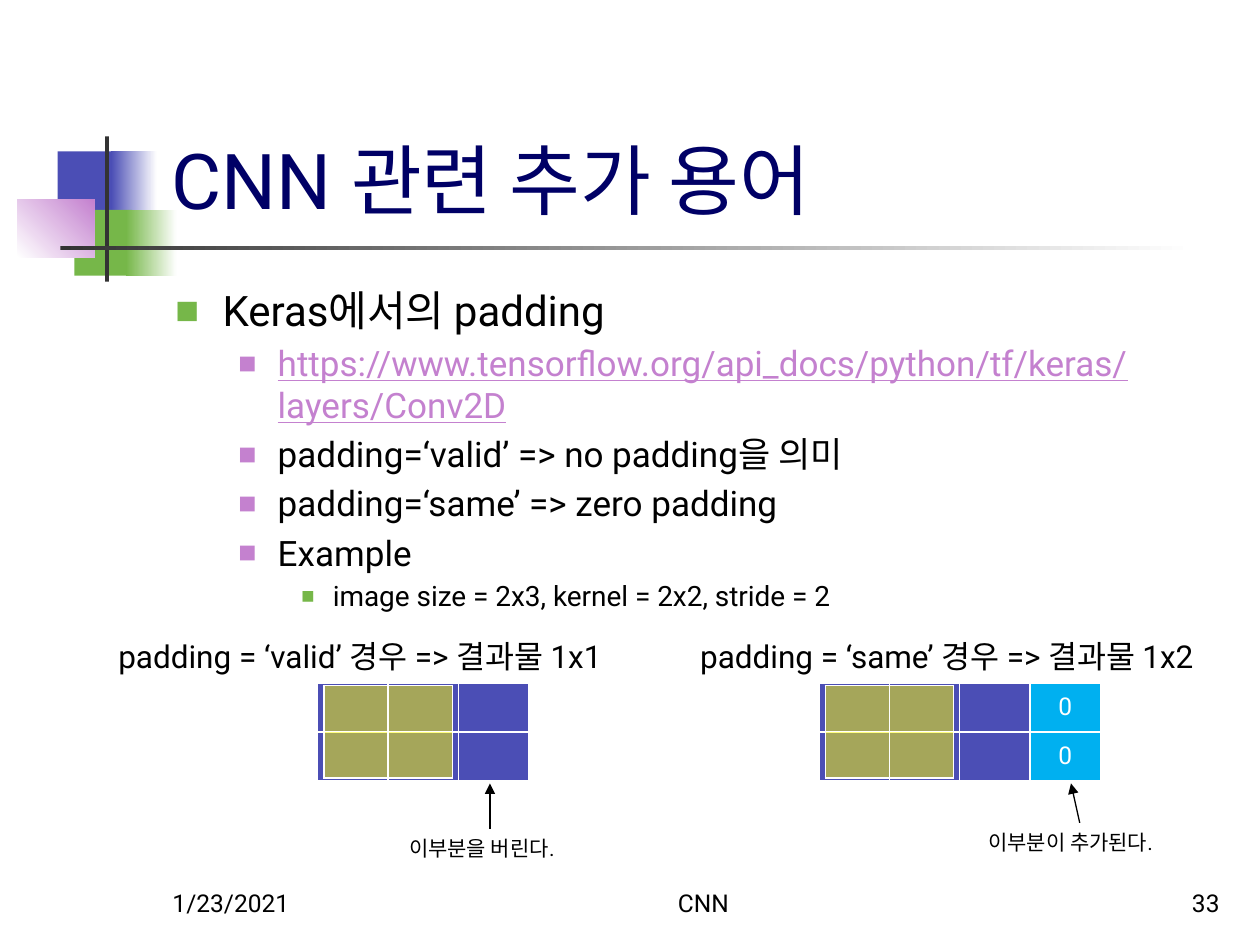
from lxml.etree import SubElement as Sub
from pptx import Presentation
from pptx.dml.color import RGBColor as RGB
from pptx.enum.shapes import MSO_CONNECTOR as Link, MSO_SHAPE as Kind
from pptx.enum.text import MSO_ANCHOR as Anchor, MSO_AUTO_SIZE as Fit, PP_ALIGN as Align
from pptx.oxml import parse_xml
from pptx.oxml.ns import nsdecls, qn
from pptx.util import Pt

FONT = "Roboto"
BLUE = RGB(0x4B, 0x4E, 0xB5)
GREEN = RGB(0x76, 0xB7, 0x49)
PINK = RGB(0xC4, 0x81, 0xCF)
GRAY = RGB(0x33, 0x33, 0x33)
NAVY = RGB(0x00, 0x00, 0x66)
CYAN = RGB(0x00, 0xB0, 0xF0)
YELLOW = RGB(0xFF, 0xFF, 0x00)
WHITE = RGB(0xFF, 0xFF, 0xFF)
BLACK = RGB(0x00, 0x00, 0x00)

LEVELS = [(24, 27, 27, GREEN, 60), (20, 58.5, 22.5, PINK, 55), (16, 90, 18, GREEN, 50)]
URL = "https://www.tensorflow.org/api_docs/python/tf/keras/layers/Conv2D"
ITEMS = [
    (0, "Keras에서의 padding"),
    (1, URL),
    (1, "padding=‘valid’ => no padding을 의미"),
    (1, "padding=‘same’ => zero padding"),
    (1, "Example"),
    (2, "image size = 2x3, kernel = 2x2, stride = 2"),
]


def place(shape, box):
    """Move a shape to a box given in points."""
    shape.left, shape.top, shape.width, shape.height = map(Pt, box)


def style(para, size, color=BLACK, align=Align.LEFT):
    """Set the font and alignment of a paragraph."""
    para.alignment = align
    font = para.font
    font.name, font.size = FONT, Pt(size)
    font.color.rgb = color


def label(slide, box, text, size, align=Align.LEFT, anchor=Anchor.TOP, wrap=False):
    """Add a text box with one line of text."""
    shape = slide.shapes.add_textbox(*map(Pt, box))
    frame = shape.text_frame
    frame.word_wrap, frame.vertical_anchor = wrap, anchor
    frame.text = text
    style(frame.paragraphs[0], size, align=align)


def block(slide, box, start, end=None, angle=0):
    """Add a rectangle with a plain or a blended fill."""
    shape = slide.shapes.add_shape(Kind.RECTANGLE, *map(Pt, box))
    shape.shadow.inherit = False
    shape.line.fill.background()
    if end is None:
        shape.fill.solid()
        shape.fill.fore_color.rgb = start
        return
    shape.fill.gradient()
    shape.fill.gradient_angle = angle
    for stop, color in zip(shape.fill.gradient_stops, (start, end)):
        stop.color.rgb = color


def emblem(slide, box):
    """Draw the coloured squares and the two rules."""
    x, y, wide, high = box
    block(slide, (x + 23, y + 8.5, 34.5, 37.5), BLUE)
    block(slide, (x + 53.5, y + 8.5, 26, 37.5), BLUE, WHITE)
    block(slide, (x + 32.5, y + 42, 33, 37.5), GREEN)
    block(slide, (x + 62, y + 42, 29, 37.5), GREEN, WHITE)
    block(slide, (x, y + 36, 44, 33), WHITE, PINK, 45)
    block(slide, (x + 50, y, 2.3, high), GRAY)
    block(slide, (x + 24.5, y + 62.5, wide - 24.5, 2.3), GRAY, WHITE)


def heading(slide, box, text):
    """Fill the title placeholder."""
    title = slide.shapes.title
    place(title, box)
    frame = title.text_frame
    frame.text, frame.vertical_anchor = text, Anchor.BOTTOM
    frame.auto_size = Fit.NONE
    style(frame.paragraphs[0], 44, NAVY)


def bullet(para, level):
    """Give a paragraph the indent, bullet and font of its level."""
    size, left, hang, color, scale = LEVELS[level]
    para.level = level
    para.space_before = Pt(size * 0.2)
    props = para._p.get_or_add_pPr()
    props.set("marL", str(Pt(left)))
    props.set("indent", str(-Pt(hang)))
    tint = Sub(props, qn("a:buClr"))
    Sub(tint, qn("a:srgbClr"), val=str(color))
    Sub(props, qn("a:buSzPct"), val=str(scale * 1000))
    Sub(props, qn("a:buFont"), typeface=FONT)
    Sub(props, qn("a:buChar"), char="■")
    style(para, size)


def outline(slide, box):
    """Fill the body placeholder with the list."""
    body = slide.placeholders[1]
    place(body, box)
    frame = body.text_frame
    frame.auto_size = Fit.NONE
    frame.text = "\n".join(text for _, text in ITEMS)
    for para, (level, text) in zip(frame.paragraphs, ITEMS):
        bullet(para, level)
        if text == URL:
            font = para.runs[0].font
            font.underline, font.color.rgb = True, PINK


def paint(cell, color, alpha=None):
    """Fill a cell and give it thin white borders."""
    cell.margin_left = cell.margin_right = cell.margin_top = cell.margin_bottom = 0
    cell.vertical_anchor = Anchor.MIDDLE
    cell.fill.solid()
    cell.fill.fore_color.rgb = color
    props = cell._tc.get_or_add_tcPr()
    if alpha:
        Sub(props.find(".//" + qn("a:srgbClr")), qn("a:alpha"), val=str(alpha * 1000))
    for spot, side in enumerate("LRTB"):
        props.insert(spot, parse_xml(
            f'<a:ln{side} {nsdecls("a")} w="{Pt(1)}"><a:solidFill>'
            f'<a:srgbClr val="{WHITE}"/></a:solidFill></a:ln{side}>'))


def grid(slide, x, y, cols, wide, high, color, alpha=None, pad=None):
    """Add a two-row grid, whose columns from pad on hold zeros."""
    table = slide.shapes.add_table(
        2, cols, Pt(x), Pt(y), Pt(cols * wide), Pt(2 * high)).table
    table.first_row = table.horz_banding = False
    for row in table.rows:
        row.height = Pt(high)
        for col, cell in enumerate(row.cells):
            table.columns[col].width = Pt(wide)
            extra = pad is not None and col >= pad
            paint(cell, CYAN if extra else color, alpha)
            if extra:
                cell.text = "0"
            style(cell.text_frame.paragraphs[0], 14, WHITE, Align.CENTER)


def arrow(slide, start, end):
    """Draw an arrow between two points."""
    line = slide.shapes.add_connector(Link.STRAIGHT, *map(Pt, start + end))
    line.line.color.rgb, line.line.width = BLACK, Pt(0.75)
    Sub(line.line._get_or_add_ln(), qn("a:tailEnd"), type="triangle")
    Sub(line._element.spPr, qn("a:effectLst"))


def case(slide, box, inset, cols, pad, texts, start, tip, span):
    """Draw one padding case: caption, grid, kernel, arrow and note."""
    x, y, wide, high = box
    caption, note = texts
    left, mid, base = x + inset, x + start[0], y + start[1]
    grid(slide, left, y + 29.5, cols, 40.2, 28, BLUE, pad=pad)
    grid(slide, left + 3.6, y + 31, 2, 36.7, 26.4, YELLOW, 50)
    label(slide, (x, y, wide, 29), caption, 18)
    label(slide, (mid - span / 2, base, span, 21.8), note, 12)
    arrow(slide, (mid, base), (x + tip, y + 87))


def footer(slide, box):
    """Place the date, the name and the page number."""
    x, y, wide, high = box
    for left, span, text, align in (
            (x, 150, "1/23/2021", Align.LEFT),
            (x + 196.5, 228, "CNN", Align.CENTER),
            (x + wide - 150, 150, "33", Align.RIGHT)):
        label(slide, (left, y, span, high), text, 14, align, Anchor.BOTTOM, True)


def main():
    """Build and save the slide."""
    deck = Presentation()
    deck.slide_width, deck.slide_height = Pt(720), Pt(540)
    slide = deck.slides.add_slide(deck.slide_layouts[1])
    emblem(slide, (10, 78, 672.5, 83))
    heading(slide, (91, 16.5, 613.5, 115.5), "CNN 관련 추가 용어")
    outline(slide, (93, 159, 612, 324))
    case(slide, (60.5, 360.7, 322.6, 135), 121, 3, None,
         ("padding = ‘valid’ 경우 => 결과물 1x1", "이부분을 버린다."),
         (219.5, 113), 219.5, 106.6)
    case(slide, (393, 360.7, 328.3, 135), 75, 4, 3,
         ("padding = ‘same’ 경우 => 결과물 1x2", "이부분이 추가된다."),
         (224, 109.5), 219, 118.8)
    footer(slide, (91.5, 492, 612.5, 36))
    deck.save("out.pptx")


if __name__ == "__main__":
    main()
